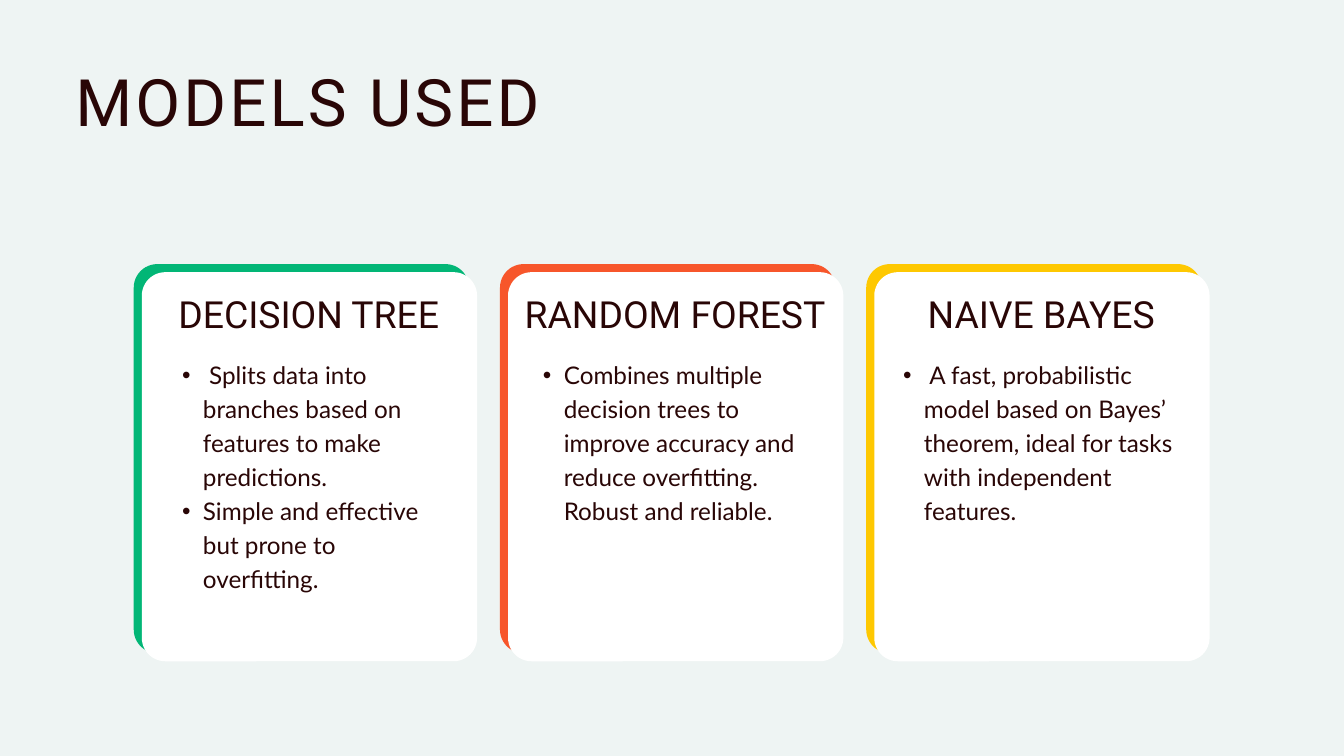
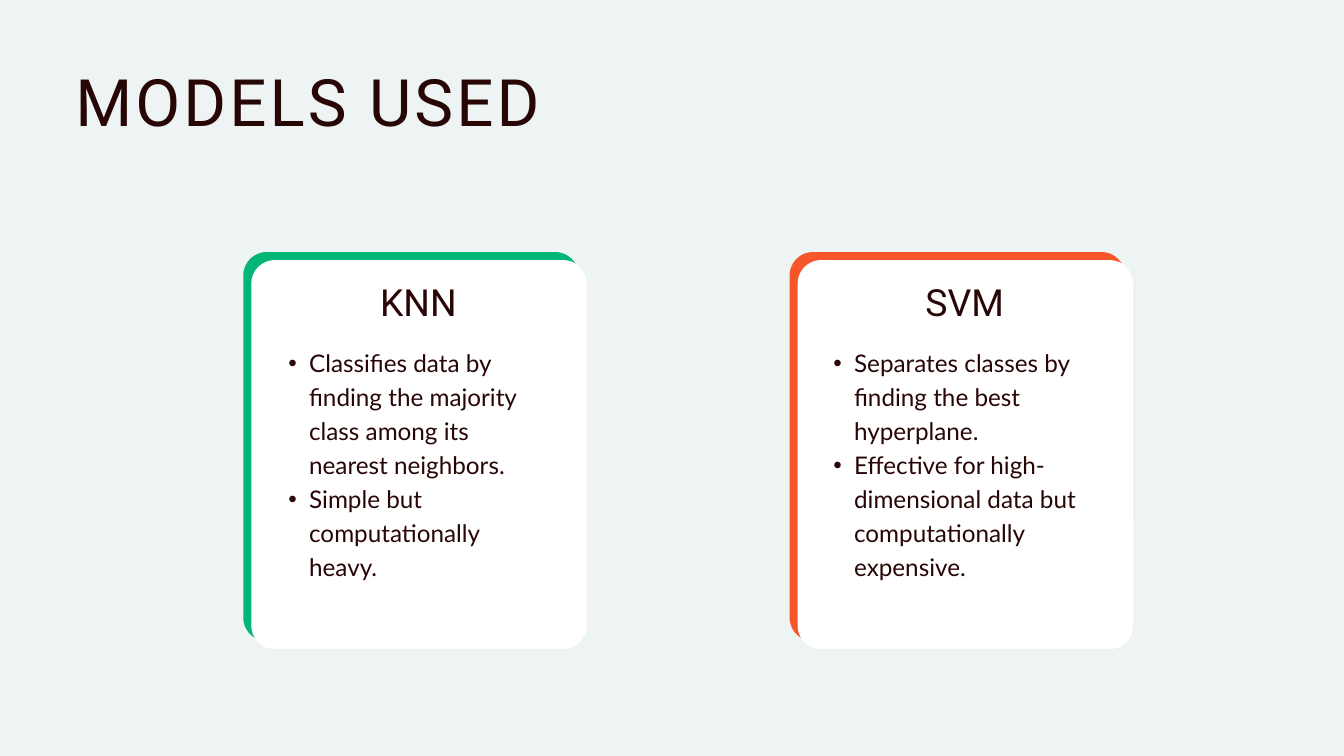
from lxml import etree
from pptx import Presentation
from pptx.dml.color import RGBColor
from pptx.enum.shapes import MSO_SHAPE
from pptx.enum.text import MSO_ANCHOR, MSO_AUTO_SIZE, PP_ALIGN
from pptx.oxml.ns import qn
from pptx.util import Emu, Pt

ROUND = MSO_SHAPE.ROUNDED_RECTANGLE
TOP = MSO_ANCHOR.TOP
GROW = MSO_AUTO_SIZE.SHAPE_TO_FIT_TEXT
LEFT, CENTER = PP_ALIGN.LEFT, PP_ALIGN.CENTER

SCALE = 9144
PAPER, INK, WHITE = "EEF4F3", "290606", "FFFFFF"
ACCENTS = ["02B676", "F7562B", "FEC801"]
HEAD_FONT, BODY_FONT = "Roboto", "Lato"
CARD_W, CARD_H, RADIUS, SHIFT = 499, 579, 35, 12


def px(n):
    return Emu(n * SCALE)


def color(code):
    return RGBColor.from_string(code)


class Deck:
    def __init__(self):
        self.prs = Presentation()
        self.prs.slide_width, self.prs.slide_height = px(2000), px(1125)
        fill = self.prs.slide_master.background.fill
        fill.solid()
        fill.fore_color.rgb = color(PAPER)
        self.slide = None

    def page(self, title):
        layout = self.prs.slide_layouts.get_by_name("Title Only")
        self.slide = self.prs.slides.add_slide(layout)
        shape = self.slide.shapes.title
        shape.left, shape.top, shape.width, shape.height = map(px, (112, 111, 888, 117))
        self.style(shape, title, HEAD_FONT, 70, 70, LEFT)
        for run in shape.text_frame.paragraphs[0].runs:
            run._r.get_or_add_rPr().set("spc", "340")

    def style(self, shape, text, font, size, line, align):
        frame = shape.text_frame
        frame.text = text
        frame.word_wrap = True
        frame.auto_size = GROW
        frame.vertical_anchor = TOP
        frame.margin_left = frame.margin_right = 0
        frame.margin_top = frame.margin_bottom = 0
        for para in frame.paragraphs:
            para.alignment = align
            para.line_spacing = Pt(line)
            for run in para.runs:
                run.font.name = font
                run.font.size = Pt(size)
                run.font.color.rgb = color(INK)

    def text(self, x, y, w, h, text, font, size, line, align):
        box = self.slide.shapes.add_textbox(px(x), px(y), px(w), px(h))
        self.style(box, text, font, size, line, align)
        return box

    def bullets(self, x, y, w, h, items):
        box = self.text(x, y, w, h, "\n".join(items), BODY_FONT, 26, 36.4, LEFT)
        for para in box.text_frame.paragraphs:
            para.level = 1
            props = para._p.get_or_add_pPr()
            props.set("marL", str(px(61)))
            props.set("indent", str(px(-31)))
            etree.SubElement(props, qn("a:buFont")).set("typeface", "Arial")
            etree.SubElement(props, qn("a:buChar")).set("char", "•")

    def panel(self, x, y, fill):
        shape = self.slide.shapes.add_shape(ROUND, px(x), px(y), px(CARD_W), px(CARD_H))
        shape.adjustments[0] = RADIUS / CARD_W
        shape.shadow.inherit = False
        shape.fill.solid()
        shape.fill.fore_color.rgb = color(fill)
        shape.line.fill.background()

    def card(self, x, y, accent, head, inset, width, items):
        self.panel(x, y, accent)
        self.panel(x + SHIFT, y + SHIFT, WHITE)
        self.text(x + 33, y + 51, 455, 67, head, HEAD_FONT, 40, 40, CENTER)
        self.bullets(x + inset, y + 136, width, 359 if len(items) > 1 else 256, items)

    def row(self, x, y, step, cards):
        for i, (accent, card) in enumerate(zip(ACCENTS, cards)):
            self.card(x + i * step, y, accent, *card)


def main():
    deck = Deck()
    deck.page("MODELS USED")
    deck.row(199, 393, 545, [
        ("DECISION TREE", 42, 425, [
            " Splits data into branches based on features to make predictions.",
            "Simple and effective but prone to overfitting."]),
        ("RANDOM FOREST", 34, 455, [
            "Combines multiple decision trees to improve accuracy and reduce "
            "overfitting. Robust and reliable."]),
        ("NAIVE BAYES", 25, 464, [
            " A fast, probabilistic model based on Bayes’ theorem, ideal for "
            "tasks with independent features."]),
    ])
    deck.page("MODELS USED")
    deck.row(362, 375, 813, [
        ("KNN", 37, 425, [
            "Classifies data by finding the majority class among its nearest neighbors.",
            "Simple but computationally heavy."]),
        ("SVM", 35, 455, [
            "Separates classes by finding the best hyperplane.",
            "Effective for high-dimensional data but computationally expensive."]),
    ])
    deck.prs.save("out.pptx")


if __name__ == "__main__":
    main()
